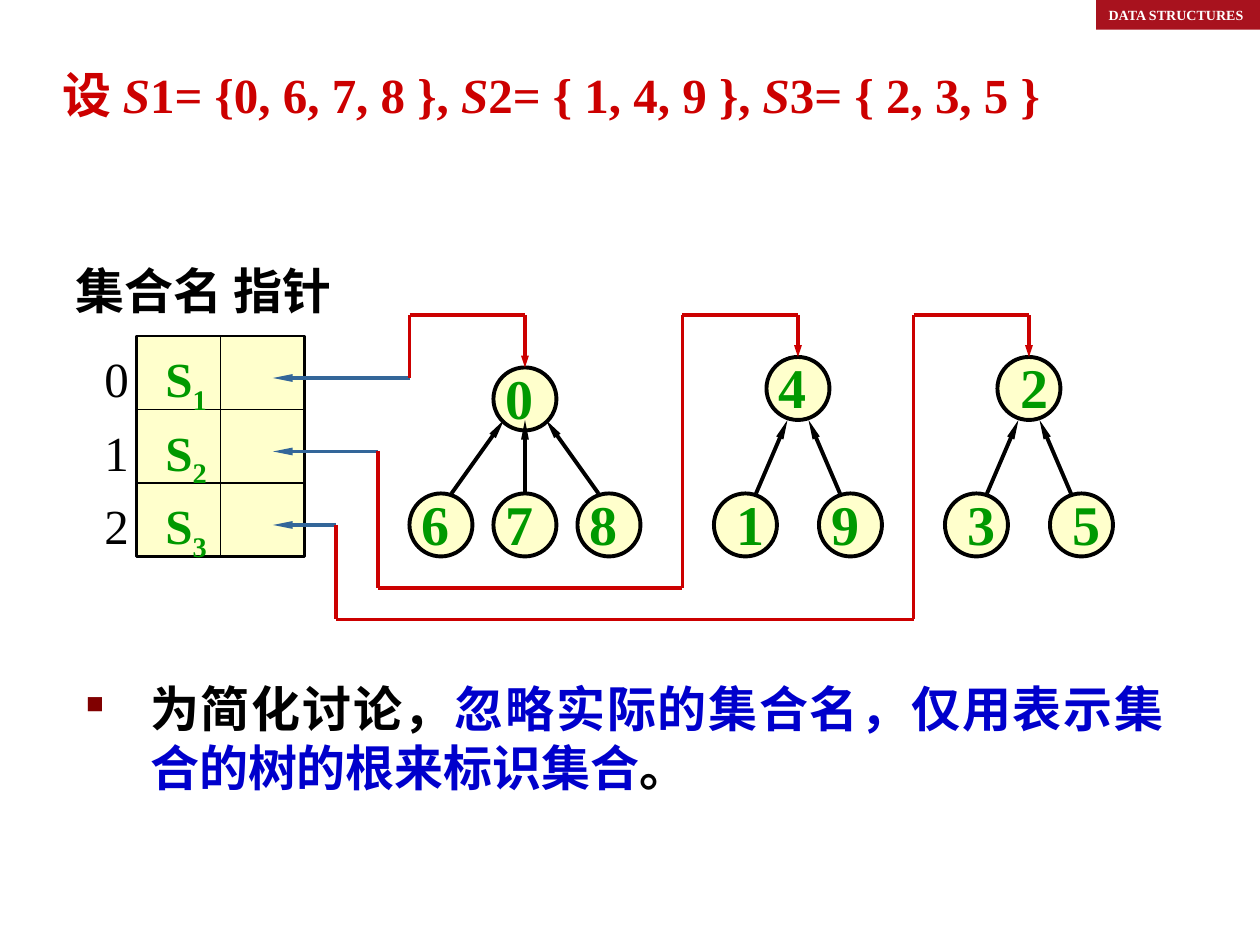
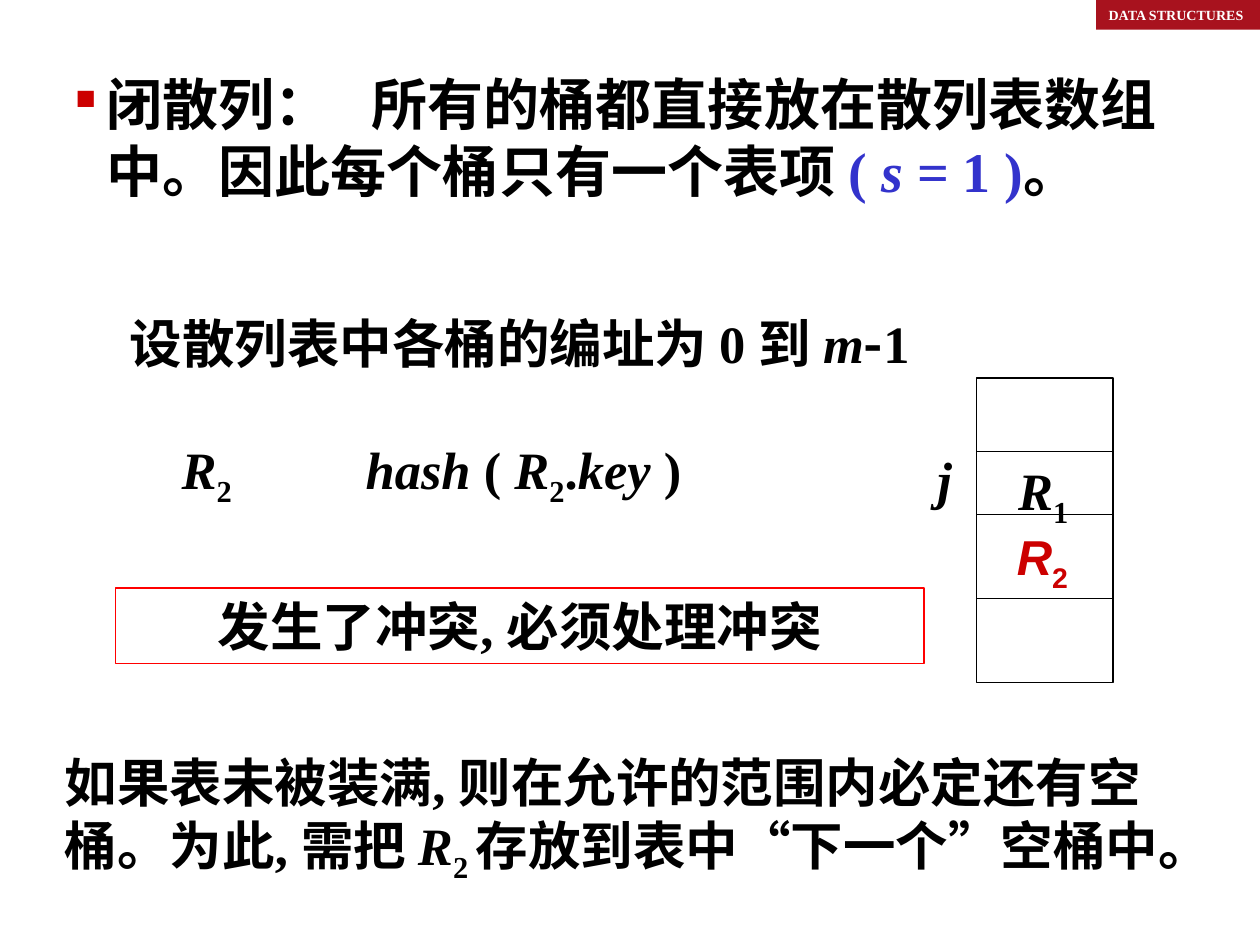
from dataclasses import dataclass
from itertools import pairwise
from typing import NamedTuple

from lxml import etree
from pptx import Presentation
from pptx.dml.color import RGBColor
from pptx.enum.shapes import MSO_CONNECTOR, MSO_SHAPE
from pptx.enum.text import MSO_ANCHOR, MSO_AUTO_SIZE, PP_ALIGN
from pptx.oxml.ns import qn
from pptx.shapes.autoshape import Shape
from pptx.shapes.connector import Connector
from pptx.slide import Slide
from pptx.util import Pt

STRAIGHT = MSO_CONNECTOR.STRAIGHT
RECTANGLE, OVAL = MSO_SHAPE.RECTANGLE, MSO_SHAPE.OVAL
TOP = MSO_ANCHOR.TOP
GROW, FIXED = MSO_AUTO_SIZE.SHAPE_TO_FIT_TEXT, MSO_AUTO_SIZE.NONE
LEFT, CENTER, JUSTIFY = PP_ALIGN.LEFT, PP_ALIGN.CENTER, PP_ALIGN.JUSTIFY

SERIF, SANS, CJK = "Times New Roman", "Arial", "Noto Sans CJK SC"
BLACK = RGBColor(0x00, 0x00, 0x00)
WHITE = RGBColor(0xFF, 0xFF, 0xFF)
BAND_RED = RGBColor(0xA8, 0x12, 0x1E)
RED = RGBColor(0xCC, 0x00, 0x00)
ALERT_RED = RGBColor(0xFF, 0x00, 0x00)
DARK_RED = RGBColor(0x80, 0x00, 0x00)
GREEN = RGBColor(0x00, 0x99, 0x00)
CREAM = RGBColor(0xFF, 0xFF, 0xCC)
STEEL = RGBColor(0x33, 0x66, 0x99)
BLUE = RGBColor(0x00, 0x00, 0xCC)
VIOLET = RGBColor(0x33, 0x33, 0xCC)

THIN, THICK = 0.75, 2.25
NODE_SIZE = 36
LEAF_TOP = 282
ARROW_END = 240
LOOP_TOP = 180


class Box(NamedTuple):
    left: float
    top: float
    width: float
    height: float


class Point(NamedTuple):
    x: float
    y: float


@dataclass(frozen=True)
class Run:
    text: str
    italic: bool = False
    subscript: bool = False
    color: RGBColor | None = None
    font: str | None = None
    bold: bool | None = None
    spacing: float = 0


class Bullet(NamedTuple):
    color: RGBColor
    indent: float


class Node(NamedTuple):
    value: str
    label_shift: float = 0


class Tree(NamedTuple):
    center: float
    root_top: float
    leaf_step: float
    root: Node
    leaves: list[Node]


TREES = [
    Tree(300, 210, 48, Node("0"), [Node("6"), Node("7"), Node("8")]),
    Tree(456, 204, 60, Node("4"), [Node("1", 6), Node("9")]),
    Tree(588, 204, 60, Node("2", 6), [Node("3", 6), Node("5", 6)]),
]
# Bends between each table row and the top of its tree's loop
POINTER_BENDS = [
    [Point(234, 216)],
    [Point(216, 258), Point(216, 336), Point(390, 336)],
    [Point(192, 300), Point(192, 354), Point(522, 354)],
]


def write_text(shape: Shape, paragraphs: list[list[Run]], *, size: float,
               color: RGBColor = BLACK, font: str = SERIF, bold: bool = True,
               align: PP_ALIGN = LEFT, wrap: bool = True,
               line_spacing: float | None = None,
               bullet: Bullet | None = None) -> None:
    """Fill a shape; a run's own colour, font or weight overrides the shared one."""
    frame = shape.text_frame
    frame.word_wrap = wrap
    frame.auto_size = FIXED if wrap else GROW
    frame.vertical_anchor = TOP
    for index, runs in enumerate(paragraphs):
        paragraph = frame.add_paragraph() if index else frame.paragraphs[0]
        paragraph.alignment = align
        if line_spacing:
            paragraph.line_spacing = line_spacing
        if bullet:
            add_bullet(paragraph._p.get_or_add_pPr(), bullet)
        for part in runs:
            run = paragraph.add_run()
            run.text = part.text
            run.font.size = Pt(size)
            run.font.bold = bold if part.bold is None else part.bold
            run.font.italic = part.italic
            run.font.color.rgb = part.color or color
            run.font.name = part.font or font
            properties = run._r.get_or_add_rPr()
            etree.SubElement(properties, qn("a:ea"), typeface=CJK)
            if part.subscript:
                properties.set("baseline", "-25000")
            if part.spacing:
                properties.set("spc", str(round(part.spacing * 100)))


def add_bullet(properties: etree._Element, bullet: Bullet) -> None:
    properties.set("marL", str(Pt(bullet.indent)))
    properties.set("indent", str(-Pt(bullet.indent)))
    color = etree.SubElement(properties, qn("a:buClr"))
    etree.SubElement(color, qn("a:srgbClr"), val=str(bullet.color))
    etree.SubElement(properties, qn("a:buSzPct"), val="50000")
    etree.SubElement(properties, qn("a:buChar"), char="■")


def add_text(slide: Slide, box: Box, paragraphs: list[list[Run]], **text_format) -> None:
    shape = slide.shapes.add_textbox(*map(Pt, box))
    write_text(shape, paragraphs, **text_format)


def add_figure(slide: Slide, kind: MSO_SHAPE, box: Box, fill: RGBColor | None = None,
               line: RGBColor | None = None, line_width: float = THIN) -> Shape:
    shape = slide.shapes.add_shape(kind, *map(Pt, box))
    shape.shadow.inherit = False
    if fill is None:
        shape.fill.background()
    else:
        shape.fill.solid()
        shape.fill.fore_color.rgb = fill
    if line is None:
        shape.line.fill.background()
    else:
        shape.line.color.rgb = line
        shape.line.width = Pt(line_width)
    return shape


def add_line(slide: Slide, start: Point, end: Point, color: RGBColor = BLACK,
             width: float = THIN, head_length: str | None = None) -> Connector:
    """Draw a line, with an arrowhead at its end when head_length is given."""
    line = slide.shapes.add_connector(STRAIGHT, *map(Pt, (*start, *end)))
    line.line.color.rgb = color
    line.line.width = Pt(width)
    if head_length:
        etree.SubElement(line.line._get_or_add_ln(), qn("a:tailEnd"),
                         type="triangle", w="sm", len=head_length)
    etree.SubElement(line._element.spPr, qn("a:effectLst"))
    return line


def add_course_band(slide: Slide) -> None:
    band = add_figure(slide, RECTANGLE, Box(626.4, 0, 93.6, 17), BAND_RED)
    write_text(band, [[Run("DATA STRUCTURES")]], size=8, color=WHITE)


def add_node(slide: Slide, node: Node, center: float, top: float) -> None:
    left = center - NODE_SIZE / 2
    add_figure(slide, OVAL, Box(left, top, NODE_SIZE, NODE_SIZE), CREAM, BLACK, THICK)
    add_text(slide, Box(left + node.label_shift, top - 6, 30, 46),
             [[Run(node.value)]], size=32, color=GREEN)


def add_tree(slide: Slide, tree: Tree) -> None:
    add_node(slide, tree.root, tree.center, tree.root_top)
    last = len(tree.leaves) - 1
    for index, leaf in enumerate(tree.leaves):
        offset = tree.leaf_step * (index - last / 2)
        side = (offset > 0) - (offset < 0)
        leaf_center = tree.center + offset
        add_node(slide, leaf, leaf_center, LEAF_TOP)
        add_line(slide, Point(leaf_center - 6 * side, LEAF_TOP),
                 Point(tree.center + 6 * last * side, ARROW_END),
                 width=THICK, head_length="lg")


def add_pointer(slide: Slide, bends: list[Point], tree: Tree) -> None:
    """Link a table row to the root of its tree."""
    add_line(slide, bends[0], Point(156, bends[0].y), STEEL, THICK, "lg")
    loop = [Point(bends[-1].x, LOOP_TOP), Point(tree.center, LOOP_TOP)]
    for start, end in pairwise(bends + loop):
        add_line(slide, start, end, RED, THICK)
    add_line(slide, loop[-1], Point(tree.center, tree.root_top), RED, THICK, "med")


def add_set_table(slide: Slide) -> None:
    table = Box(78, 192, 96, 126)
    row_height = table.height / 3
    right, middle = table.left + table.width, table.left + table.width / 2
    frame = add_figure(slide, RECTANGLE, table, CREAM, BLACK, 1.5)
    divider = add_line(slide, Point(middle, table.top),
                       Point(middle, table.top + table.height))
    divider.begin_connect(frame, 0)
    divider.end_connect(frame, 2)
    for row in (1, 2):
        y = table.top + row * row_height
        add_line(slide, Point(table.left, y), Point(right, y))
    add_text(slide, Box(36, 145.5, 227.5, 41), [[Run("集合名 指针")]], size=28, font=CJK)
    rows = [[Run(str(row), bold=False), Run(" ", bold=False, spacing=14),
             Run("S", color=GREEN), Run(str(row + 1), subscript=True, color=GREEN)]
            for row in range(3)]
    add_text(slide, Box(52.5, 192, 73, 133), rows, size=28, wrap=False, line_spacing=1.1)


def build_set_trees(slide: Slide) -> None:
    add_course_band(slide)
    sets = ["1= {0, 6, 7, 8 }, ", "2= { 1, 4, 9 }, ", "3= { 2, 3, 5 }"]
    title = [Run("设 ")]
    for members in sets:
        title += [Run("S", italic=True), Run(members)]
    add_text(slide, Box(28.8, 31.7, 579.6, 42.5), [title], size=28, color=RED,
             wrap=False, line_spacing=1.05)
    add_set_table(slide)
    for tree, bends in zip(TREES, POINTER_BENDS):
        add_tree(slide, tree)
        add_pointer(slide, bends, tree)
    add_text(slide, Box(42, 384, 630, 96),
             [[Run("为简化讨论，"),
               Run("忽略实际的集合名，仅用表示集合的树的根来标识集合", color=BLUE),
               Run("。")]],
             size=28, align=JUSTIFY, bullet=Bullet(DARK_RED, 36.75))


def record(number: str) -> list[Run]:
    return [Run("R", italic=True), Run(number, subscript=True)]


def build_closed_hashing(slide: Slide) -> None:
    add_course_band(slide)
    add_text(slide, Box(36, 36, 636, 84),
             [[Run("闭散列："), Run(" ", spacing=16),
               Run("所有的桶都直接放在散列表数组中。因此每个桶只有一个表项 "),
               Run("( ", color=VIOLET), Run("s", italic=True, color=VIOLET),
               Run(" = 1 )", color=VIOLET), Run("。")]],
             size=32, bullet=Bullet(RED, 18))

    buckets = Box(558, 216, 78, 174)
    add_figure(slide, RECTANGLE, buckets, line=BLACK)
    for y in (258, 294, 342):
        add_line(slide, Point(buckets.left, y), Point(buckets.left + buckets.width, y))

    hash_call = [Run("hash ", italic=True), Run("( "), *record("2"), Run("."),
                 Run("key ", italic=True), Run(")")]
    addresses = [Run("设散列表中各桶的编址为 0 到 "), Run("m", italic=True),
                 Run("-", font=CJK), Run("1")]
    labels = [
        (Box(44.6, 174, 504.7, 43.2), addresses),
        (Box(201.6, 246, 195, 48), hash_call),
        (Box(96.5, 246, 43.2, 48), record("2")),
        (Box(528.5, 252, 22.3, 43.2), [Run("j", italic=True)]),
        (Box(574.5, 258, 43.2, 48), record("1")),
    ]
    for box, runs in labels:
        add_text(slide, box, [runs], size=30, align=CENTER, wrap=False)
    add_text(slide, Box(574, 297.5, 58, 45), [record("2")], size=28, color=RED, font=SANS)

    conflict = add_figure(slide, RECTANGLE, Box(66, 336, 462, 43.2), line=ALERT_RED)
    write_text(conflict, [[Run("发生了冲突, 必须处理冲突")]], size=30, align=CENTER)
    add_text(slide, Box(30, 425, 645, 120),
             [[Run("如果表未被装满, 则在允许的范围内必定还有空桶。为此, 需把 "),
               Run("R", italic=True), Run("2 ", subscript=True),
               Run("存放到表中“下一个”空桶中。")]],
             size=30)


def main() -> None:
    presentation = Presentation()
    presentation.slide_width, presentation.slide_height = Pt(720), Pt(540)
    blank = presentation.slide_layouts[6]
    for build in (build_set_trees, build_closed_hashing):
        build(presentation.slides.add_slide(blank))
    presentation.save("out.pptx")


if __name__ == "__main__":
    main()
